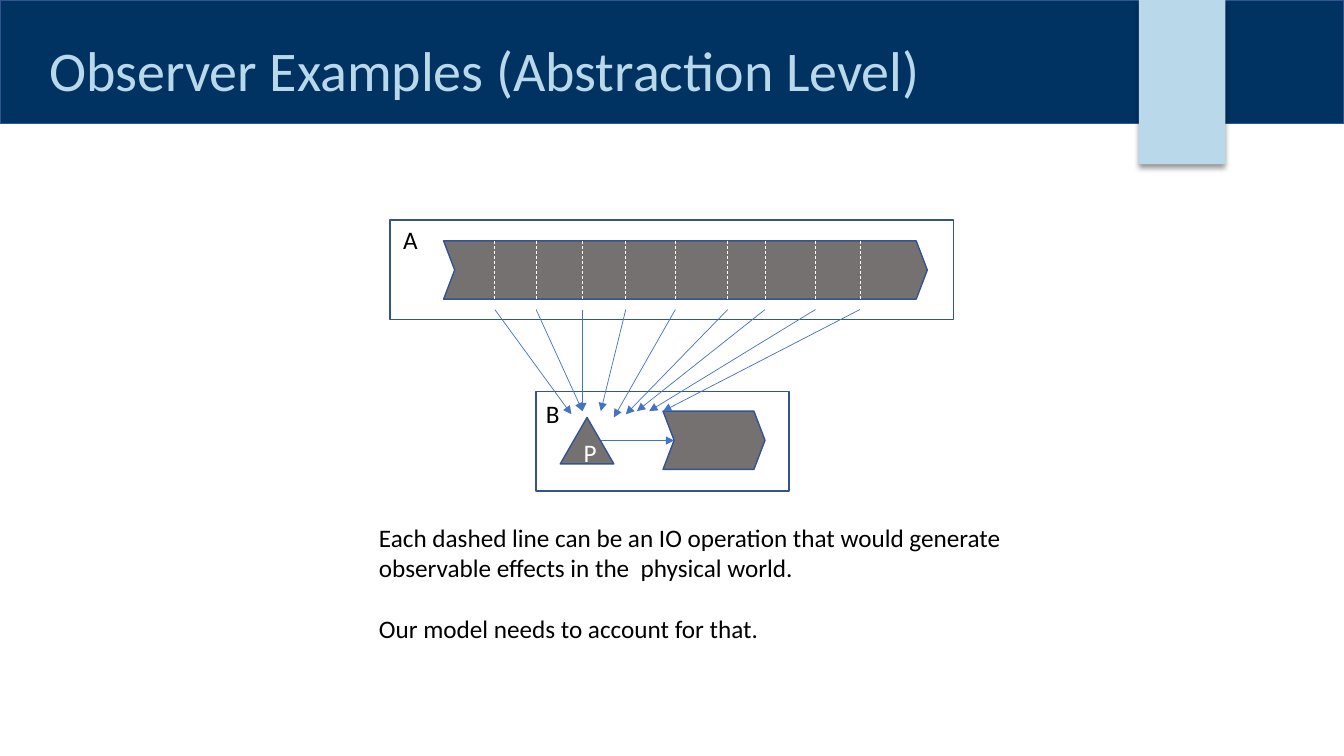
"""Build the observer example slide on abstraction levels."""
from dataclasses import dataclass
from typing import Optional

from lxml import etree
from pptx import Presentation
from pptx import util as u
from pptx.dml.color import RGBColor
from pptx.enum import dml, shapes, text
from pptx.oxml import ns

NAVY = RGBColor(0x00, 0x32, 0x62)
SKY = RGBColor(0xB9, 0xD9, 0xEB)
OUTLINE = RGBColor(0x32, 0x54, 0x91)
GREY = RGBColor(0x76, 0x71, 0x71)
BLUE = RGBColor(0x44, 0x72, 0xC4)
WHITE = RGBColor(0xFF, 0xFF, 0xFF)
BLACK = RGBColor(0x00, 0x00, 0x00)

FONT = "Calibri"
BAR_TOP, BAR_HEIGHT = 6.07, 1.47
ARROW_TOP = 7.8
FLOW_Y = 11.1
Kind = shapes.MSO_SHAPE


@dataclass(frozen=True)
class Block:
    kind: Kind
    left: float
    top: float
    width: float
    height: float
    fill: Optional[RGBColor] = None
    outline: Optional[RGBColor] = OUTLINE
    notch: Optional[float] = None


@dataclass(frozen=True)
class Operation:
    x: float
    target_x: float
    target_y: float = 10.36


@dataclass(frozen=True)
class Label:
    left: float
    top: float
    width: float
    height: float
    lines: tuple[str, ...]
    wrap: bool = False


BAND = Block(Kind.RECTANGLE, 0, 0, 33.87, 3.12, NAVY)
RIBBON = Block(Kind.RECTANGLE, 28.7, 0, 2.18, 4.14, SKY, None)
PROCESS = Block(Kind.ISOSCELES_TRIANGLE, 14.12, 10.52, 1.35, 1.17, GREY)
BLOCKS = (
    Block(Kind.CHEVRON, 11.18, BAR_TOP, 12.19, BAR_HEIGHT, GREY, notch=0.19),
    Block(Kind.RECTANGLE, 9.83, 5.54, 14.2, 2.51),
    Block(Kind.CHEVRON, 16.71, 10.36, 2.57, BAR_HEIGHT, GREY, notch=0.19),
    Block(Kind.RECTANGLE, 13.51, 9.86, 6.38, 2.51),
)
OPERATIONS = (
    Operation(12.47, 14.4, 10.44),
    Operation(13.51, 14.68),
    Operation(14.68, 14.68),
    Operation(15.77, 15.14),
    Operation(17.02, 15.47, 10.52),
    Operation(18.34, 15.77, 10.44),
    Operation(19.28, 16.05),
    Operation(20.55, 16.36),
    Operation(21.67, 16.71),
)
LABELS = (
    Label(9.91, 5.54, 0.89, 1.02, ("A",)),
    Label(13.51, 9.91, 0.89, 1.02, ("B",)),
    Label(9.3, 13.03, 16.76, 3.33, (
        "Each dashed line can be an IO operation that would generate "
        "observable effects in the  physical world.",
        "Our model needs to account for that.",
    ), True),
)


def add_span(para, words: str, size: float, color: RGBColor) -> None:
    """Add one formatted run to a paragraph."""
    span = para.add_run()
    span.text = words
    span.font.name = FONT
    span.font.size = u.Pt(size)
    span.font.color.rgb = color


def add_block(page, block: Block):
    """Draw one preset shape and return it."""
    place = [u.Cm(v) for v in (block.left, block.top, block.width, block.height)]
    shape = page.shapes.add_shape(block.kind, *place)
    shape.shadow.inherit = False
    if block.notch is not None:
        shape.adjustments[0] = block.notch
    if block.fill is None:
        shape.fill.background()
    else:
        shape.fill.solid()
        shape.fill.fore_color.rgb = block.fill
    if block.outline is None:
        shape.line.fill.background()
    else:
        shape.line.color.rgb = block.outline
        shape.line.width = u.Pt(1)
    return shape


def add_shadow(shape) -> None:
    """Give a shape a soft shadow below it."""
    effects = shape.element.spPr.find(ns.qn("a:effectLst"))
    shadow = etree.SubElement(
        effects, ns.qn("a:outerShdw"), blurRad=str(u.Pt(4)), dist=str(u.Pt(3)),
        dir="5400000", algn="t", rotWithShape="0")
    color = etree.SubElement(shadow, ns.qn("a:srgbClr"), val=str(BLACK))
    etree.SubElement(color, ns.qn("a:alpha"), val="40000")


def add_line(page, start: tuple[float, float], end: tuple[float, float],
             color: RGBColor, arrow: bool) -> None:
    """Draw a thin arrow, or a dashed line without a head."""
    line = page.shapes.add_connector(
        shapes.MSO_CONNECTOR.STRAIGHT, *(u.Cm(v) for v in start + end))
    line.line.color.rgb = color
    line.line.width = u.Pt(0.5)
    if arrow:
        etree.SubElement(line.line._get_or_add_ln(), ns.qn("a:tailEnd"), type="triangle")
    else:
        line.line.dash_style = dml.MSO_LINE.DASH
    etree.SubElement(line.element.spPr, ns.qn("a:effectLst"))


def add_label(page, label: Label) -> None:
    """Add a text box with one paragraph per line."""
    place = [u.Cm(v) for v in (label.left, label.top, label.width, label.height)]
    frame = page.shapes.add_textbox(*place).text_frame
    frame.word_wrap = label.wrap
    frame.auto_size = text.MSO_AUTO_SIZE.SHAPE_TO_FIT_TEXT
    for index, words in enumerate(label.lines):
        para = frame.add_paragraph() if index else frame.paragraphs[0]
        if index:
            para.space_before = u.Pt(22)
        add_span(para, words, 18, BLACK)


def format_title(page) -> None:
    """Place and fill the title placeholder."""
    title = page.shapes.title
    title.left, title.top, title.width, title.height = (
        u.Cm(v) for v in (0.99, 0.38, 26.7, 2.36))
    frame = title.text_frame
    frame.auto_size = text.MSO_AUTO_SIZE.NONE
    frame.vertical_anchor = text.MSO_ANCHOR.BOTTOM
    para = frame.paragraphs[0]
    para.alignment = text.PP_ALIGN.LEFT
    para.line_spacing = 0.9
    add_span(para, "Observer Examples (Abstraction Level)", 40, SKY)


def main() -> None:
    """Build and save the deck."""
    deck = Presentation()
    deck.slide_width, deck.slide_height = u.Cm(33.87), u.Cm(19.05)
    page = deck.slides.add_slide(deck.slide_layouts.get_by_name("Title Only"))
    format_title(page)
    band = add_block(page, BAND)
    page.shapes.title.element.addprevious(band.element)
    add_shadow(add_block(page, RIBBON))
    for block in BLOCKS:
        add_block(page, block)
    frame = add_block(page, PROCESS).text_frame
    frame.vertical_anchor = text.MSO_ANCHOR.MIDDLE
    frame.paragraphs[0].alignment = text.PP_ALIGN.CENTER
    add_span(frame.paragraphs[0], "P", 18, WHITE)
    add_line(page, (15.14, FLOW_Y), (16.99, FLOW_Y), BLUE, True)
    for label in LABELS:
        add_label(page, label)
    for step in OPERATIONS:
        add_line(page, (step.x, BAR_TOP), (step.x, BAR_TOP + BAR_HEIGHT), WHITE, False)
        add_line(page, (step.x, ARROW_TOP), (step.target_x, step.target_y), BLUE, True)
    deck.save("out.pptx")


if __name__ == "__main__":
    main()
